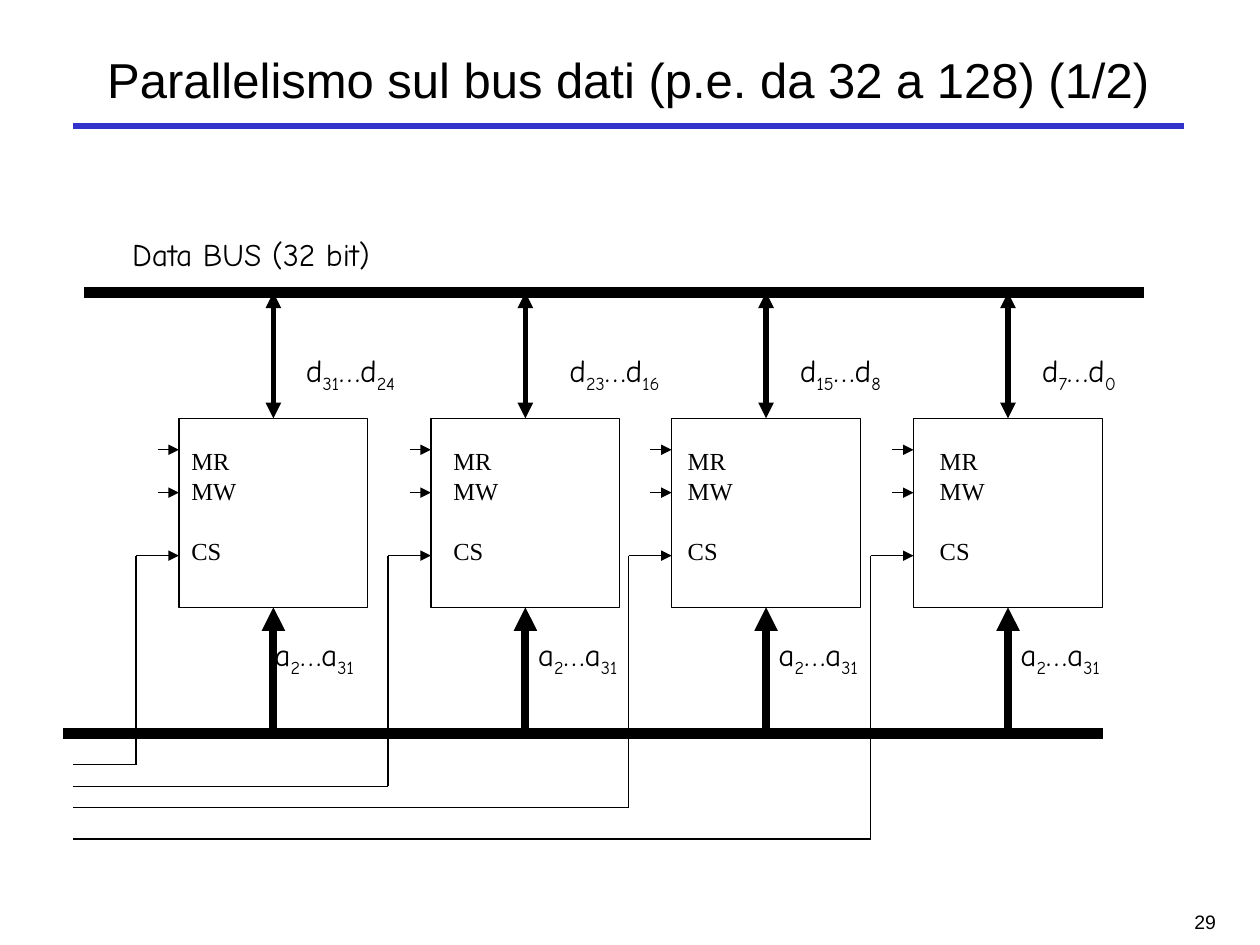
from dataclasses import dataclass

from pptx import Presentation
from pptx.dml.color import RGBColor
from pptx.enum.shapes import MSO_CONNECTOR, MSO_SHAPE
from pptx.enum.text import MSO_ANCHOR, MSO_AUTO_SIZE, PP_ALIGN
from pptx.oxml.ns import qn
from pptx.util import Inches, Pt
from lxml.etree import SubElement


@dataclass(frozen=True)
class Theme:
    black: RGBColor = RGBColor(0, 0, 0)
    white: RGBColor = RGBColor(255, 255, 255)
    blue: RGBColor = RGBColor(0x33, 0x33, 0xCC)
    sans: str = "Arial"
    comic: str = "Comic Neue"
    serif: str = "Times New Roman"
    title_size: float = 28
    label_size: float = 18
    pin_size: float = 14
    pin_spacing: float = 17
    number_size: float = 11.1
    thin: float = 0.75
    rule: float = 3.75
    data_arrow: float = 3
    address_arrow: float = 4.5
    bus: float = 6


THEME = Theme()

DATA_BUS_Y = 2.32
CHIP_TOP = 3.32
CHIP_SIZE = 1.5
ADDRESS_BUS_Y = 5.82
READ_Y, WRITE_Y, SELECT_Y = 3.57, 3.91, 4.41
SELECT_START = 0.58


@dataclass(frozen=True)
class Chip:
    left: float
    high_bit: str
    low_bit: str
    data_left: float
    address_left: float
    pins_left: float
    select_level: float


CHIPS = (
    Chip(1.42, "31", "24", 2.33, 2.08, 1.42, 6.07),
    Chip(3.42, "23", "16", 4.42, 4.17, 3.50, 6.24),
    Chip(5.33, "15", "8", 6.25, 6.08, 5.36, 6.41),
    Chip(7.25, "7", "0", 8.17, 8.00, 7.36, 6.66),
)


def format_span(span, font, size):
    span.font.name = font
    span.font.size = Pt(size)
    span.font.color.rgb = THEME.black


def add_line(slide, start, end, width, color=THEME.black, arrows=()):
    """Straight line; arrows may hold headEnd and tailEnd, in that order."""
    line = slide.shapes.add_connector(
        MSO_CONNECTOR.STRAIGHT, *(Inches(value) for value in (*start, *end)))
    line.line.width = Pt(width)
    line.line.color.rgb = color
    outline = line.line._get_or_add_ln()
    for arrow in arrows:
        SubElement(outline, qn(f"a:{arrow}"), type="triangle")
    SubElement(line._element.spPr, qn("a:effectLst"))
    return line


def add_text(slide, left, top, width, height, lines, font, size, wrap=True):
    box = slide.shapes.add_textbox(
        Inches(left), Inches(top), Inches(width), Inches(height))
    frame = box.text_frame
    frame.text = "\n".join(lines)
    frame.word_wrap = wrap
    for para in frame.paragraphs:
        for span in para.runs:
            format_span(span, font, size)
    return frame


def add_range_label(slide, left, top, letter, first, last):
    """Signal range such as d31…d24, with the bit numbers as subscripts."""
    frame = add_text(slide, left, top, 1.15, 0.78, [letter],
                     THEME.comic, THEME.label_size)
    para = frame.paragraphs[0]
    for text, is_subscript in ((first, True), (f"…{letter}", False), (last, True)):
        span = para.add_run()
        span.text = text
        format_span(span, THEME.comic, THEME.label_size)
        if is_subscript:
            span._r.get_or_add_rPr().set("baseline", "-25000")


def add_title(slide, text):
    title = slide.shapes.title
    title.left, title.top = Inches(0.61), Inches(0.25)
    title.width, title.height = Inches(8.75), Inches(0.75)
    frame = title.text_frame
    frame.text = text
    frame.auto_size = MSO_AUTO_SIZE.NONE
    frame.vertical_anchor = MSO_ANCHOR.MIDDLE
    para = frame.paragraphs[0]
    para.alignment = PP_ALIGN.CENTER
    format_span(para.runs[0], THEME.sans, THEME.title_size)
    add_line(slide, (0.58, 1), (9.4, 1), THEME.rule, THEME.blue)


def add_slide_number(slide, text):
    frame = add_text(slide, 7.67, 7, 2.08, 0.5, [text],
                     THEME.sans, THEME.number_size)
    frame.margin_top = Inches(0.22)
    frame.paragraphs[0].alignment = PP_ALIGN.RIGHT


def add_pins(slide, chip):
    frame = add_text(slide, chip.pins_left, 3.49, 0.56, 1.04,
                     ["MR", "MW", "CS"], THEME.serif, THEME.pin_size, wrap=False)
    for para in frame.paragraphs:
        para.line_spacing = Pt(THEME.pin_spacing)
    frame.paragraphs[-1].space_before = Pt(THEME.pin_spacing)
    for y in (READ_Y, WRITE_Y):
        add_line(slide, (chip.left - 0.17, y), (chip.left, y),
                 THEME.thin, arrows=["tailEnd"])


def add_select_wire(slide, chip):
    corner = chip.left - 0.34
    level = chip.select_level
    add_line(slide, (SELECT_START, level), (corner, level), THEME.thin)
    add_line(slide, (corner, SELECT_Y), (corner, level), THEME.thin)
    add_line(slide, (corner, SELECT_Y), (chip.left, SELECT_Y),
             THEME.thin, arrows=["tailEnd"])


def add_chip(slide, chip):
    box = slide.shapes.add_shape(
        MSO_SHAPE.RECTANGLE, Inches(chip.left), Inches(CHIP_TOP),
        Inches(CHIP_SIZE), Inches(CHIP_SIZE))
    box.shadow.inherit = False
    box.fill.solid()
    box.fill.fore_color.rgb = THEME.white
    box.line.color.rgb = THEME.black
    box.line.width = Pt(THEME.thin)

    # Arrows joining the chip to both buses
    middle = chip.left + CHIP_SIZE / 2
    data = add_line(slide, (middle, DATA_BUS_Y), (middle, CHIP_TOP),
                    THEME.data_arrow, arrows=["headEnd", "tailEnd"])
    data.end_connect(box, 0)
    address = add_line(slide, (middle, ADDRESS_BUS_Y),
                       (middle, CHIP_TOP + CHIP_SIZE),
                       THEME.address_arrow, arrows=["tailEnd"])
    address.end_connect(box, 2)

    # Signal names and control wires
    add_range_label(slide, chip.data_left, 2.74, "d", chip.high_bit, chip.low_bit)
    add_range_label(slide, chip.address_left, 4.99, "a", "2", "31")
    add_pins(slide, chip)
    add_select_wire(slide, chip)


def main():
    deck = Presentation()
    deck.slide_width, deck.slide_height = Inches(10), Inches(7.5)
    slide = deck.slides.add_slide(deck.slide_layouts[5])

    # Heading and page number
    add_title(slide, "Parallelismo sul bus dati (p.e. da 32 a 128) (1/2)")
    add_slide_number(slide, "29")

    # Data bus and address bus
    add_line(slide, (0.67, DATA_BUS_Y), (9.08, DATA_BUS_Y), THEME.bus)
    add_line(slide, (0.5, ADDRESS_BUS_Y), (8.75, ADDRESS_BUS_Y), THEME.bus)
    add_text(slide, 0.95, 1.82, 2.09, 0.4, ["Data BUS (32 bit)"],
             THEME.comic, THEME.label_size, wrap=False)

    # Memory chips
    for chip in CHIPS:
        add_chip(slide, chip)

    deck.save("out.pptx")


if __name__ == "__main__":
    main()
